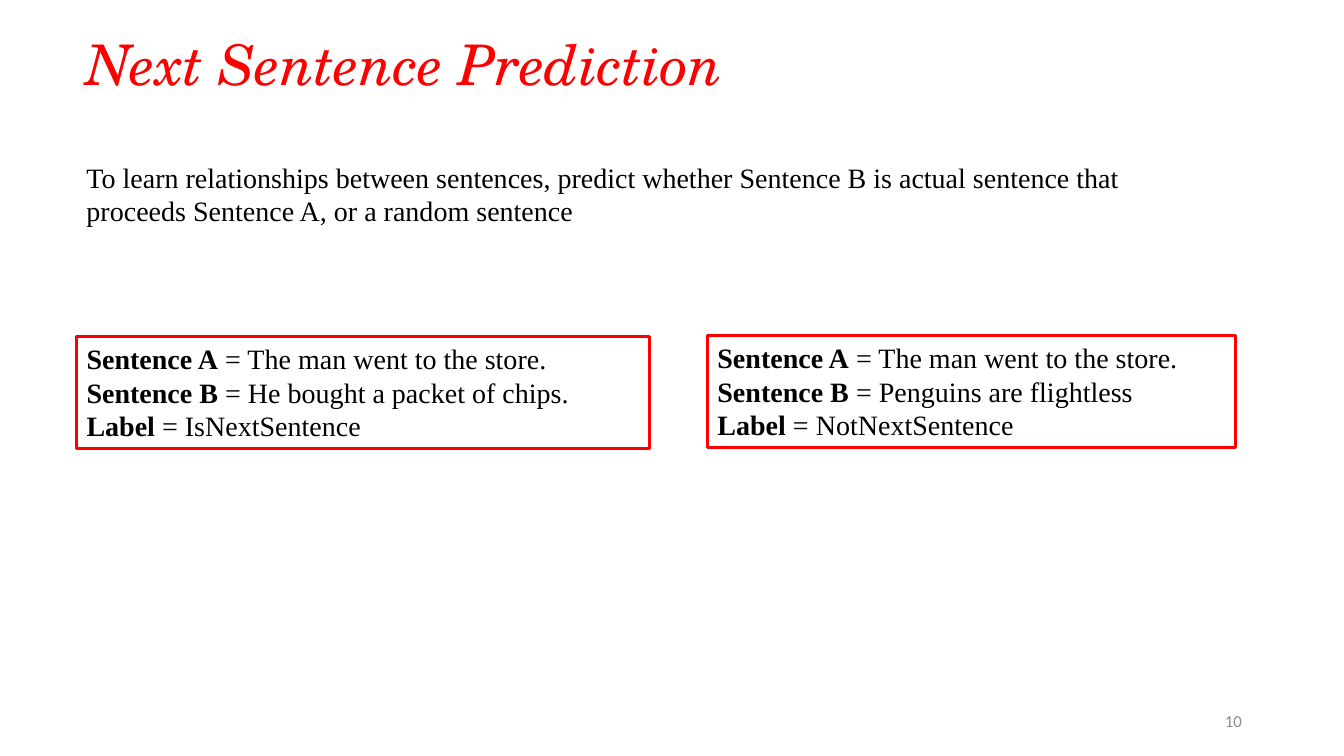
import pptx
import pptx.util
import pptx.dml.color
import pptx.enum.shapes
import pptx.enum.text

Pt = pptx.util.Pt
Align = pptx.enum.text.PP_ALIGN
Anchor = pptx.enum.text.MSO_ANCHOR
HUES = {"red": "FF0000", "black": "000000", "gray": "8C8C8C"}
SERIF = "Times New Roman"
LEFT, WIDE = 54.7, 828


def hue(name):
    return pptx.dml.color.RGBColor.from_string(HUES[name])


def write(para, text, font=SERIF, size=20, color="black", bold=False, italic=False):
    run = para.add_run()
    run.text = text
    run.font.name = font
    run.font.size = Pt(size)
    run.font.color.rgb = hue(color)
    run.font.bold = bold
    run.font.italic = italic


def frame(slide, box, anchor=Anchor.TOP):
    area = slide.shapes.add_textbox(*map(Pt, box)).text_frame
    area.word_wrap = True
    area.vertical_anchor = anchor
    return area.paragraphs[0]


def title(slide, box, text):
    para = frame(slide, box, Anchor.MIDDLE)
    para.line_spacing = 0.9
    write(para, text, font="TeX Gyre Schola", size=40, color="red", italic=True)


def intro(slide, box, text):
    write(frame(slide, box), text)


def number(slide, box, text):
    para = frame(slide, box, Anchor.MIDDLE)
    para.alignment = Align.RIGHT
    write(para, text, font="Calibri", size=12, color="gray")


def sample(slide, box, rows, weight):
    rect = slide.shapes.add_shape(pptx.enum.shapes.MSO_SHAPE.RECTANGLE, *map(Pt, box))
    rect.shadow.inherit = False
    rect.fill.background()
    rect.line.color.rgb = hue("red")
    rect.line.width = Pt(weight)
    area = rect.text_frame
    area.word_wrap = True
    area.vertical_anchor = Anchor.TOP
    for i, (key, value) in enumerate(rows):
        para = area.add_paragraph() if i else area.paragraphs[0]
        para.alignment = Align.LEFT
        write(para, key, bold=True)
        write(para, f" = {value}")


def main():
    deck = pptx.Presentation()
    deck.slide_width, deck.slide_height = Pt(960), Pt(540)
    slide = deck.slides.add_slide(deck.slide_layouts[6])
    title(slide, (LEFT, 36.7, WIDE, 22.3), "Next Sentence Prediction")
    intro(slide, (LEFT, 110.9, WIDE, 55.4),
          "To learn relationships between sentences, predict whether Sentence B is "
          "actual sentence that proceeds Sentence A, or a random sentence")
    number(slide, (678.2, 500.4, 216, 28.8), "10")
    first = ("Sentence A", "The man went to the store.")
    sample(slide, (505.4, 239.8, 377.3, 79.9),
           [first, ("Sentence B", "Penguins are flightless"),
            ("Label", "NotNextSentence")], 2.5)
    sample(slide, (LEFT, 240.5, 409, 79.9),
           [first, ("Sentence B", "He bought a packet of chips."),
            ("Label", "IsNextSentence")], 2.25)
    deck.save("out.pptx")


if __name__ == "__main__":
    main()
